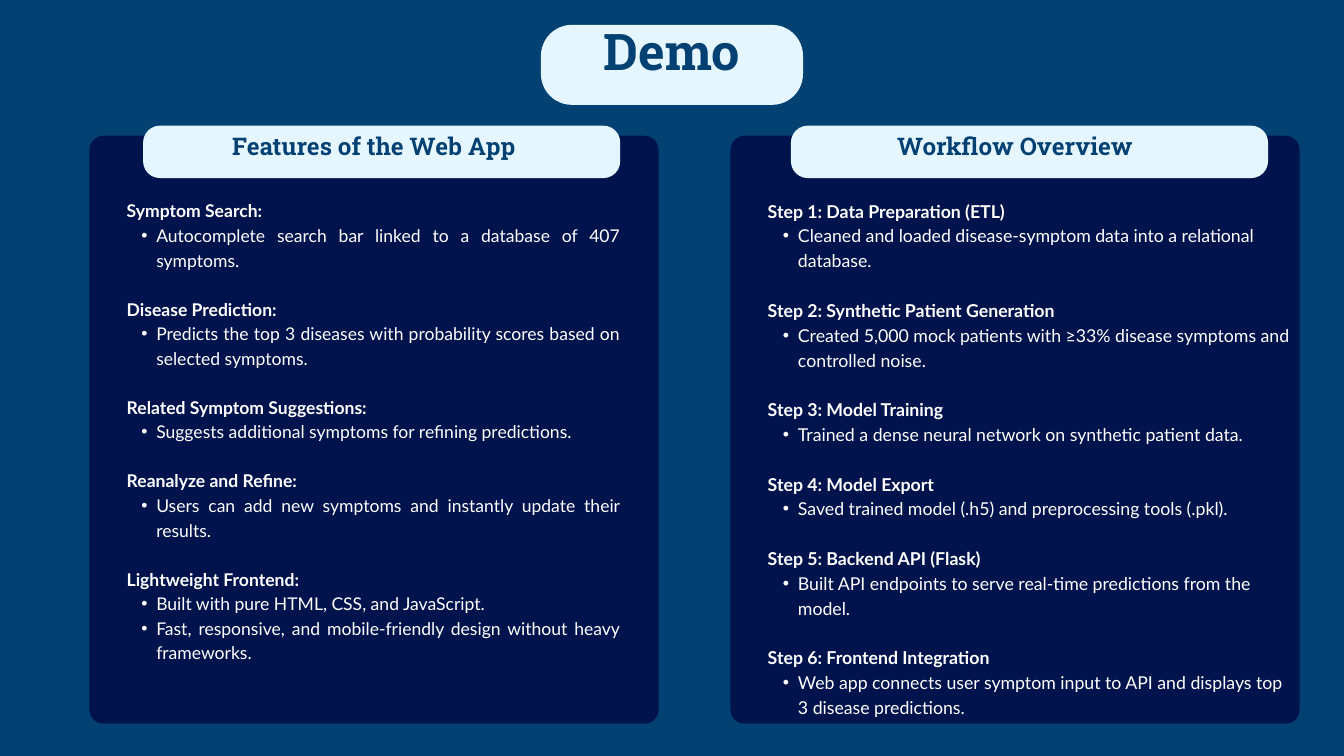
from dataclasses import dataclass

from lxml import etree
from pptx import Presentation
from pptx.dml.color import RGBColor
from pptx.enum.shapes import MSO_SHAPE as Shape
from pptx.enum.text import PP_ALIGN as Align
from pptx.oxml.ns import qn
from pptx.util import Inches, Pt

# The slide is a grid of 200 columns and 112.5 rows of square cells.
COLUMNS, ROWS = 200, 112.5
CELL = Inches(0.1)

BACKGROUND, NAVY, PALE, WHITE = "034172", "00134C", "E6F6FF", "FFFFFF"
SLAB, SANS = "Roboto Slab", "Lato"

FEATURES = [
    ("Symptom Search:",
     ["Autocomplete search bar linked to a database of 407 symptoms."]),
    ("Disease Prediction:",
     ["Predicts the top 3 diseases with probability scores based on selected symptoms."]),
    ("Related Symptom Suggestions:",
     ["Suggests additional symptoms for refining predictions."]),
    ("Reanalyze and Refine:",
     ["Users can add new symptoms and instantly update their results."]),
    ("Lightweight Frontend:",
     ["Built with pure HTML, CSS, and JavaScript.",
      "Fast, responsive, and mobile-friendly design without heavy frameworks."]),
]
WORKFLOW = [
    ("Step 1: Data Preparation (ETL)",
     ["Cleaned and loaded disease-symptom data into a relational database."]),
    ("Step 2: Synthetic Patient Generation",
     ["Created 5,000 mock patients with ≥33% disease symptoms and controlled noise."]),
    ("Step 3: Model Training",
     ["Trained a dense neural network on synthetic patient data."]),
    ("Step 4: Model Export",
     ["Saved trained model (.h5) and preprocessing tools (.pkl)."]),
    ("Step 5: Backend API (Flask)",
     ["Built API endpoints to serve real-time predictions from the model."]),
    ("Step 6: Frontend Integration",
     ["Web app connects user symptom input to API and displays top 3 disease predictions."]),
]


@dataclass
class Box:
    """An area of the slide, in grid cells."""
    left: float
    top: float
    width: float
    height: float

    def inside(self, left, top, width, height):
        return Box(self.left + left, self.top + top, width, height)

    def lengths(self):
        return [round(cells * CELL)
                for cells in (self.left, self.top, self.width, self.height)]


@dataclass
class TextStyle:
    font: str
    size: float
    spacing: float
    color: str
    align: Align = Align.LEFT
    indent: float = 0


def paint(fill, color):
    fill.solid()
    fill.fore_color.rgb = RGBColor.from_string(color)


def add_rounded(slide, box, radius, color):
    shape = slide.shapes.add_shape(Shape.ROUNDED_RECTANGLE, *box.lengths())
    shape.adjustments[0] = radius / min(box.width, box.height)
    shape.shadow.inherit = False
    paint(shape.fill, color)
    shape.line.fill.background()


def add_text_frame(slide, box):
    frame = slide.shapes.add_textbox(*box.lengths()).text_frame
    frame.word_wrap = True
    frame.margin_left = frame.margin_right = 0
    frame.margin_top = frame.margin_bottom = 0
    return frame


def write(paragraph, text, style, bold):
    paragraph.alignment = style.align
    paragraph.line_spacing = Pt(style.spacing)
    run = paragraph.add_run()
    run.text = text
    run.font.name = style.font
    run.font.size = Pt(style.size)
    run.font.bold = bold
    paint(run.font.fill, style.color)


def add_bullet(paragraph, indent):
    paragraph.level = 1
    properties = paragraph._p.get_or_add_pPr()
    properties.set("marL", str(round(indent * CELL)))
    properties.set("indent", str(round(-indent / 2 * CELL)))
    etree.SubElement(properties, qn("a:buFont")).set("typeface", "Arial")
    etree.SubElement(properties, qn("a:buChar")).set("char", "•")


def add_heading(slide, box, text, size, spacing):
    style = TextStyle(SLAB, size, spacing, BACKGROUND, Align.CENTER)
    write(add_text_frame(slide, box).paragraphs[0], text, style, True)


def add_sections(slide, box, sections, style):
    """Bold titles with bullets, one free line between sections."""
    frame = add_text_frame(slide, box)
    for number, (title, points) in enumerate(sections):
        paragraph = frame.add_paragraph() if number else frame.paragraphs[0]
        paragraph.space_before = Pt(style.spacing if number else 0)
        write(paragraph, title, style, True)
        for point in points:
            paragraph = frame.add_paragraph()
            write(paragraph, point, style, False)
            add_bullet(paragraph, style.indent)


def add_title(slide, box):
    add_rounded(slide, box, 4.6, PALE)
    add_heading(slide, box.inside(7.6, 0.7, 23.8, 9.7), "Demo", 54.1, 55.2)


def add_panel(slide, box, heading, sections, style, tab_left, body_width):
    add_rounded(slide, box, 2.1, NAVY)
    add_sections(slide, box.inside(5.55, 9.1, body_width, 74), sections, style)
    add_rounded(slide, box.inside(tab_left, -1.5, 71, 7.8), 2.5, PALE)
    heading_width = 110.2
    heading_left = (box.width - heading_width) / 2
    add_heading(slide, box.inside(heading_left, 0, heading_width, 4.6),
                heading, 26, 26.5)


def main():
    presentation = Presentation()
    presentation.slide_width = round(COLUMNS * CELL)
    presentation.slide_height = round(ROWS * CELL)
    slide = presentation.slides.add_slide(presentation.slide_layouts[6])
    paint(slide.background.fill, BACKGROUND)

    add_title(slide, Box(80.5, 3.7, 39, 11.9))
    add_panel(slide, Box(13.3, 20.2, 84.7, 87.5), "Features of the Web App", FEATURES,
              TextStyle(SANS, 18.8, 26.3, WHITE, Align.JUSTIFY, 4.4), 8, 73.5)
    add_panel(slide, Box(108.7, 20.2, 84.7, 87.5), "Workflow Overview", WORKFLOW,
              TextStyle(SANS, 19, 26.6, WHITE, Align.LEFT, 4.5), 9, 78)
    presentation.save("out.pptx")


if __name__ == "__main__":
    main()
